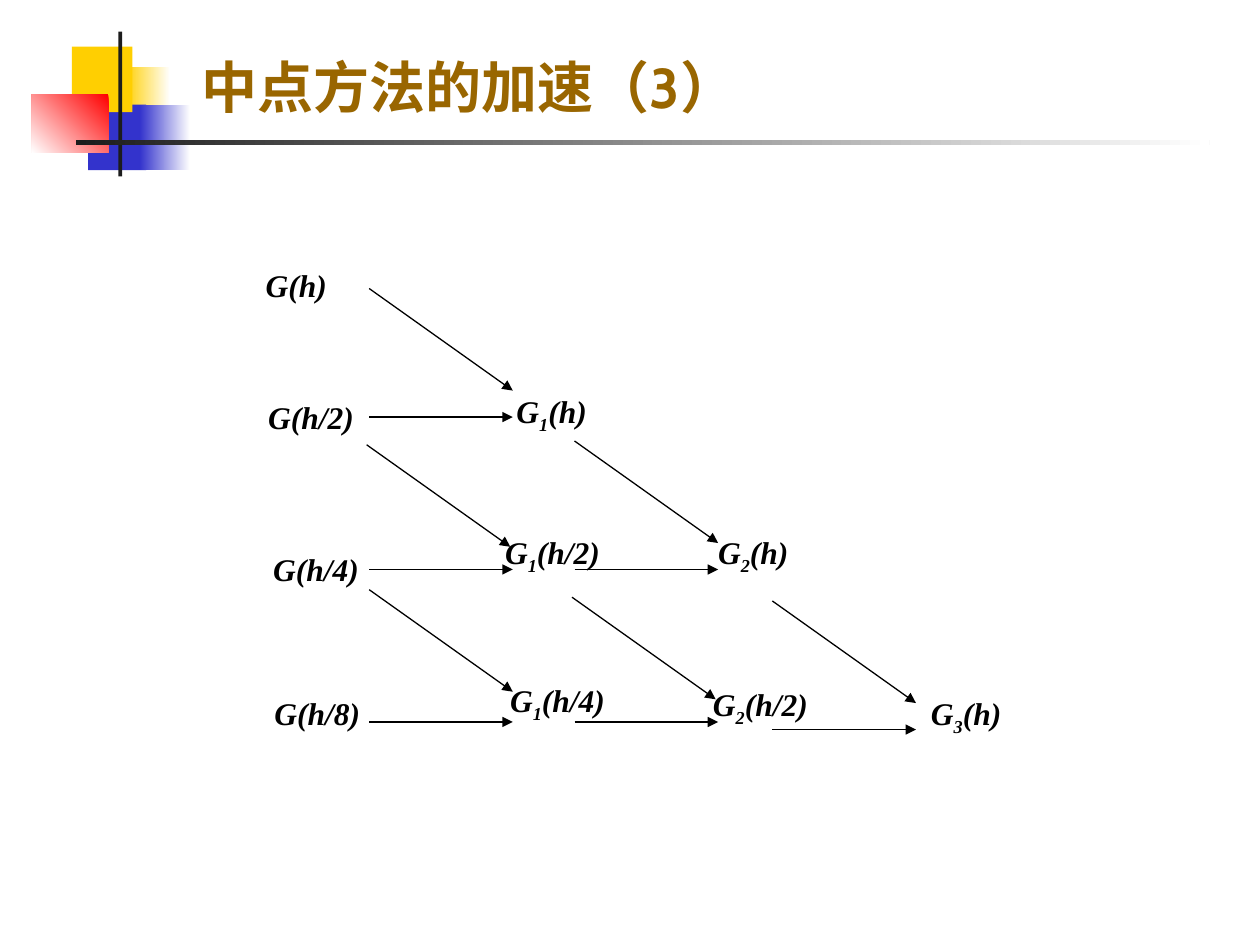
import pptx
import pptx.dml.color
import pptx.enum.shapes
import pptx.enum.text
import pptx.oxml.ns
import pptx.util
from lxml import etree

Inches = pptx.util.Inches
Pt = pptx.util.Pt
qn = pptx.oxml.ns.qn

COLORS = {
    "white": "FFFFFF",
    "black": "000000",
    "yellow": "FFCF01",
    "blue": "3333CC",
    "red": "FF0000",
    "bar": "1C1C1C",
    "title": "996600",
}
ARROW_RUN = 1.14
ARROW_DROP = 0.81


def rgb(name):
    return pptx.dml.color.RGBColor.from_string(COLORS[name])


def add_run(p, text, font="Times New Roman", size=18, color="black",
            bold=True, italic=False, baseline=0):
    """Add a run; baseline is a percentage, negative for a subscript."""
    r = p.add_run()
    r.text = text
    r.font.name = font
    r.font.size = Pt(size)
    r.font.bold = bold
    r.font.italic = italic
    r.font.color.rgb = rgb(color)
    rPr = r._r.get_or_add_rPr()
    etree.SubElement(rPr, qn("a:ea")).set("typeface", font)
    if baseline:
        rPr.set("baseline", str(baseline * 1000))
    return r


class SlideBuilder:
    def __init__(self, slide):
        self.s = slide

    def rect(self, left, top, width, height, color, fade_angle=None):
        """Add a rectangle, fading from its colour to white if an angle is given."""
        sp = self.s.shapes.add_shape(
            pptx.enum.shapes.MSO_SHAPE.RECTANGLE,
            Inches(left), Inches(top), Inches(width), Inches(height))
        sp.shadow.inherit = False
        sp.line.fill.background()
        if fade_angle is None:
            sp.fill.solid()
            sp.fill.fore_color.rgb = rgb(color)
        else:
            sp.fill.gradient()
            sp.fill.gradient_angle = fade_angle
            for stop, name in zip(sp.fill.gradient_stops, (color, "white")):
                stop.color.rgb = rgb(name)

    def arrow(self, left, top, drop=0):
        cxn = self.s.shapes.add_connector(
            pptx.enum.shapes.MSO_CONNECTOR.STRAIGHT,
            Inches(left), Inches(top),
            Inches(left + ARROW_RUN), Inches(top + drop))
        cxn.line.color.rgb = rgb("black")
        cxn.line.width = Pt(0.75)
        etree.SubElement(cxn.line._get_or_add_ln(), qn("a:tailEnd")).set("type", "triangle")
        etree.SubElement(cxn._element.spPr, qn("a:effectLst"))

    def text_box(self, left, top, width, height, anchor="TOP"):
        """Add an empty text box and return its first paragraph."""
        tf = self.s.shapes.add_textbox(
            Inches(left), Inches(top), Inches(width), Inches(height)).text_frame
        tf.word_wrap = True
        tf.vertical_anchor = pptx.enum.text.MSO_ANCHOR[anchor]
        return tf.paragraphs[0]

    def title(self, text):
        p = self.text_box(1.5, 0.17, 7.83, 0.83, anchor="BOTTOM")
        add_run(p, text, font="Cabin", size=32, color="title")

    def label(self, left, top, order, argument):
        """Add G(argument), with the order as a subscript unless it is 0."""
        p = self.text_box(left, top, 1.08, 0.44 if order else 0.4)
        if order:
            add_run(p, "G", italic=True)
            add_run(p, str(order), italic=True, baseline=-25)
            add_run(p, f"({argument})", italic=True)
        else:
            add_run(p, f"G({argument})", italic=True)


def main():
    prs = pptx.Presentation()
    prs.slide_width, prs.slide_height = Inches(10), Inches(7.5)
    b = SlideBuilder(prs.slides.add_slide(prs.slide_layouts[6]))

    ornament = [
        (0.99, 0.53, 0.36, 0.52, "yellow", 0),
        (0.7, 0.83, 0.46, 0.52, "blue", None),
        (0.57, 0.37, 0.48, 0.52, "yellow", None),
        (1.11, 0.83, 0.4, 0.52, "blue", 0),
        (0.25, 0.75, 0.61, 0.46, "red", 225),
        (0.94, 0.25, 0.03, 1.15, "bar", None),
        (0.6, 1.11, 9, 0.04, "bar", 0),
    ]
    for block in ornament:
        b.rect(*block)
    b.title("中点方法的加速（3）")

    level_arrows = [(2.93, 3.31), (2.93, 4.52), (2.93, 5.73),
                    (4.56, 4.52), (4.56, 5.73), (6.13, 5.79)]
    falling_arrows = [(2.93, 2.29), (2.91, 3.53), (2.93, 4.68),
                      (4.56, 3.5), (4.54, 4.74), (6.13, 4.77)]
    for start in level_arrows:
        b.arrow(*start)
    for start in falling_arrows:
        b.arrow(*start, drop=ARROW_DROP)

    # One list per extrapolation order, from the largest step to the smallest
    steps = ["h", "h/2", "h/4", "h/8"]
    label_positions = [
        [(2.01, 2.06), (2.03, 3.11), (2.07, 4.32), (2.08, 5.46)],
        [(4, 3.06), (3.91, 4.18), (3.95, 5.36)],
        [(5.6, 4.18), (5.56, 5.39)],
        [(7.29, 5.46)],
    ]
    for order, positions in enumerate(label_positions):
        for (left, top), step in zip(positions, steps):
            b.label(left, top, order, step)

    prs.save("out.pptx")


if __name__ == "__main__":
    main()
